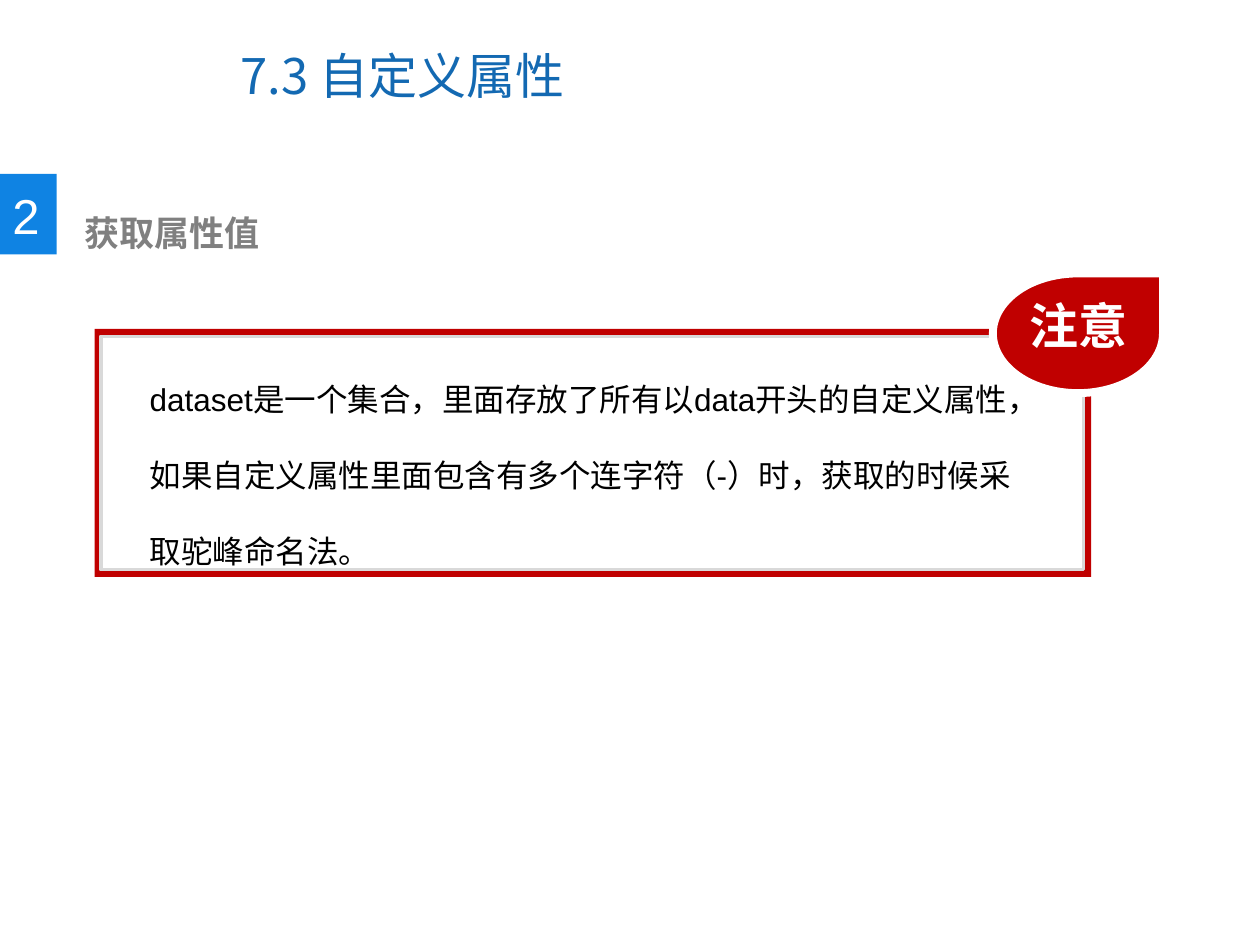
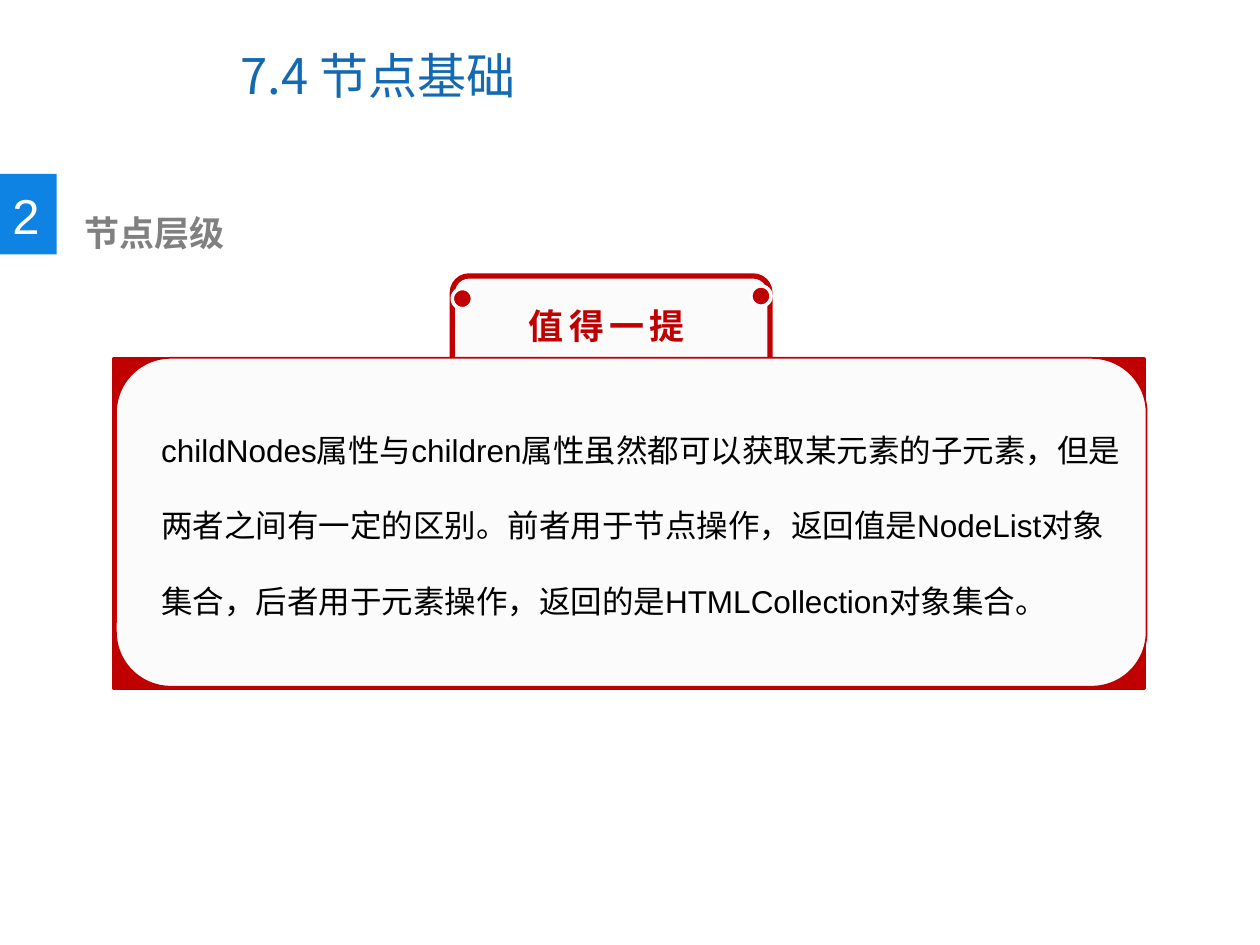
from lxml import etree
from pptx import Presentation
from pptx.dml.color import RGBColor
from pptx.enum.shapes import MSO_SHAPE
from pptx.enum.text import MSO_ANCHOR, MSO_AUTO_SIZE, PP_ALIGN
from pptx.oxml.ns import qn
from pptx.util import Inches, Pt

RECT = MSO_SHAPE.RECTANGLE
ROUND = MSO_SHAPE.ROUNDED_RECTANGLE
OVAL = MSO_SHAPE.OVAL
DROP = MSO_SHAPE.TEAR
PLATE = MSO_SHAPE.FLOWCHART_PROCESS
PANEL = MSO_SHAPE.FLOWCHART_ALTERNATE_PROCESS
MIDDLE = MSO_ANCHOR.MIDDLE
LEFT = PP_ALIGN.LEFT
FIT = MSO_AUTO_SIZE.SHAPE_TO_FIT_TEXT
FIXED = MSO_AUTO_SIZE.NONE

SANS, HAN = "Arial", "Noto Sans CJK SC"
BLUE, NAVY, RED = "0F83E3", "1369B2", "C00000"
GRAY, SILVER, PALE = "808080", "D9D9D9", "FBFBFB"
WHITE, BLACK = "FFFFFF", "000000"

TOPICS = [
    {
        "title": "7.3 自定义属性",
        "number": "2",
        "head": "获取属性值",
        "shapes": [
            (RECT, (0.75, 2.61, 7.91, 1.97), RED, None),
            (RECT, (0.8, 2.67, 7.8, 1.85), WHITE, (SILVER, 2)),
            (DROP, (7.88, 2.17, 1.35, 0.95), RED, (WHITE, 4.5)),
        ],
        "label": ("注意", (8.07, 2.3, 0.99, 0.57), 28, WHITE, 0),
        "note": "dataset是一个集合，里面存放了所有以data开头的自定义属性，"
                "如果自定义属性里面包含有多个连字符（-）时，"
                "获取的时候采取驼峰命名法。",
        "area": (1.09, 2.67, 7.16, 1.92),
    },
    {
        "title": "7.4 节点基础",
        "number": "2",
        "head": "节点层级",
        "shapes": [
            (PLATE, (0.9, 2.85, 8.18, 2.61), RED, (RED, 2)),
            (ROUND, (3.59, 2.19, 2.52, 0.79), PALE, (RED, 3)),
            (PANEL, (0.92, 2.84, 8.18, 2.61), PALE, (RED, 1)),
            (OVAL, (3.59, 2.29, 0.16, 0.16), RED, (WHITE, 2)),
            (OVAL, (5.96, 2.27, 0.16, 0.16), RED, (WHITE, 2)),
        ],
        "label": ("值得一提", (4.1, 2.37, 1.5, 0.44), 20, RED, 3),
        "note": "childNodes属性与children属性虽然都可以获取某元素的子元素，"
                "但是两者之间有一定的区别。前者用于节点操作，"
                "返回值是NodeList对象集合，后者用于元素操作，"
                "返回的是HTMLCollection对象集合。",
        "area": (1.18, 3.07, 7.89, 1.92),
    },
]


def color(code):
    return RGBColor.from_string(code)


def place(box):
    return [Inches(size) for size in box]


def style(frame, text, size, tint, face, bold=False, gap=0):
    frame.text = text
    for run in frame.paragraphs[0].runs:
        font = run.font
        font.size, font.bold, font.name = Pt(size), bold, face
        font.color.rgb = color(tint)
        props = run._r.get_or_add_rPr()
        etree.SubElement(props, qn("a:ea")).set("typeface", HAN)
        if gap:
            props.set("spc", str(gap * 100))


def write(slide, box, text, size, tint, face, wrap=False, **looks):
    frame = slide.shapes.add_textbox(*place(box)).text_frame
    frame.word_wrap = wrap
    frame.auto_size = FIT
    style(frame, text, size, tint, face, **looks)
    return frame


def draw(slide, kind, box, fill, edge):
    shape = slide.shapes.add_shape(kind, *place(box))
    shape.shadow.inherit = False
    shape.fill.solid()
    shape.fill.fore_color.rgb = color(fill)
    if edge:
        shape.line.color.rgb = color(edge[0])
        shape.line.width = Pt(edge[1])
    else:
        shape.line.fill.background()


def start(deck, topic):
    slide = deck.slides.add_slide(deck.slide_layouts[5])
    title = slide.shapes.title
    title.left, title.top, title.width, title.height = place((1.81, 0.17, 5.16, 0.85))
    frame = title.text_frame
    frame.auto_size = FIXED
    frame.vertical_anchor = MIDDLE
    style(frame, topic["title"], 28, NAVY, HAN)
    frame.paragraphs[0].alignment = LEFT
    draw(slide, RECT, (0, 1.38, 0.45, 0.64), BLUE, None)
    write(slide, (0, 1.42, 0.42, 0.57), topic["number"], 28, WHITE, SANS)
    head = write(slide, (0.47, 1.63, 5.14, 0.44), topic["head"], 20, GRAY, SANS,
                 wrap=True, bold=True)
    head.margin_left = Inches(0.2)
    return slide


def main():
    deck = Presentation()
    deck.slide_width, deck.slide_height = place((10, 7.5))
    for topic in TOPICS:
        slide = start(deck, topic)
        for part in topic["shapes"]:
            draw(slide, *part)
        text, box, size, tint, gap = topic["label"]
        write(slide, box, text, size, tint, HAN, bold=True, gap=gap)
        note = write(slide, topic["area"], topic["note"], 18, BLACK, SANS, wrap=True)
        note.paragraphs[0].line_spacing = 2.0
    deck.save("out.pptx")


if __name__ == "__main__":
    main()
